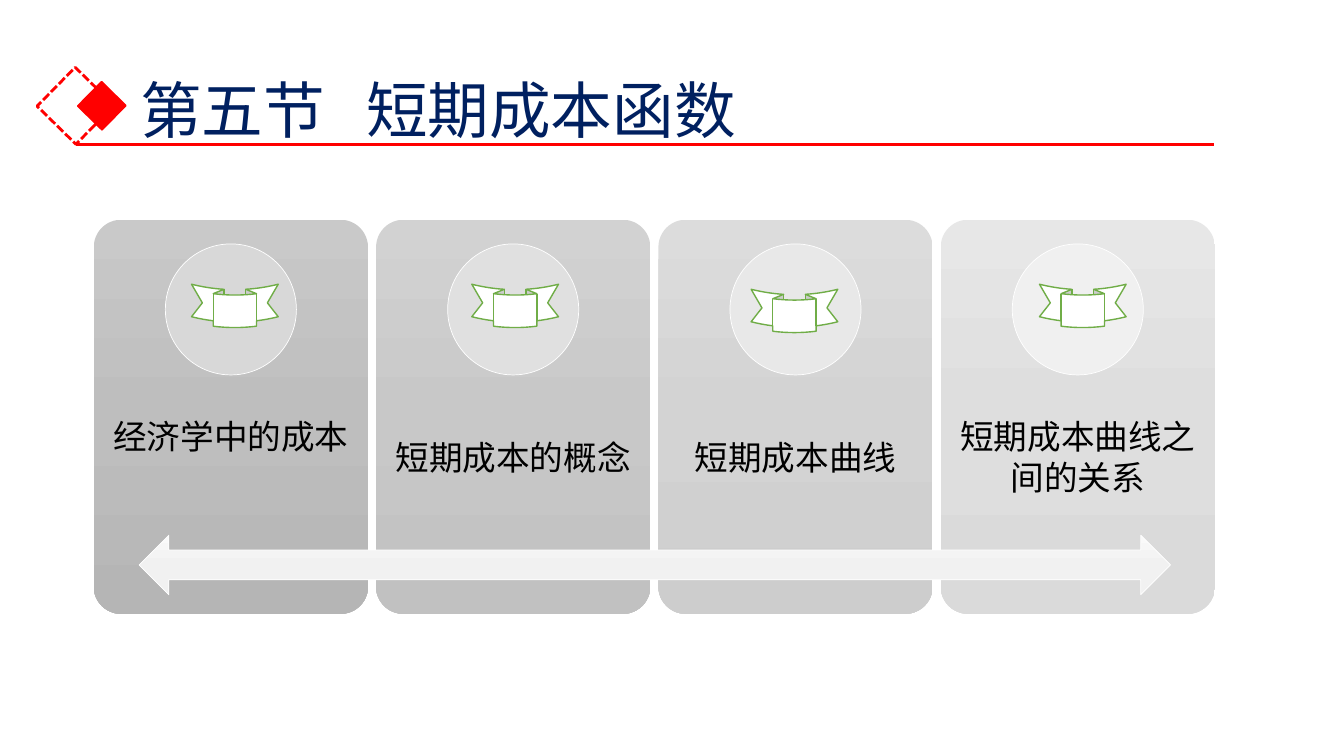
"""Build the section slide on short-run cost functions."""
from lxml import etree
from pptx import Presentation
from pptx.dml.color import RGBColor
from pptx.enum.dml import MSO_LINE
from pptx.enum.shapes import MSO_CONNECTOR, MSO_SHAPE
from pptx.enum.text import MSO_ANCHOR, PP_ALIGN
from pptx.oxml.ns import qn
from pptx.util import Inches, Pt

CARD = MSO_SHAPE.ROUNDED_RECTANGLE
DISC = MSO_SHAPE.OVAL
RIBBON = MSO_SHAPE.CURVED_UP_RIBBON
RIBBON_DOWN = MSO_SHAPE.CURVED_DOWN_RIBBON
ARROW = MSO_SHAPE.LEFT_RIGHT_ARROW
RECT = MSO_SHAPE.RECTANGLE
DASH = MSO_LINE.SQUARE_DOT
STRAIGHT = MSO_CONNECTOR.STRAIGHT
MIDDLE = MSO_ANCHOR.MIDDLE
LEFT, CENTER = PP_ALIGN.LEFT, PP_ALIGN.CENTER
FONT = "Noto Sans CJK SC"
RED = "FF0000"
hue = RGBColor.from_string

deck = Presentation()
deck.slide_width, deck.slide_height = Inches(13.33), Inches(7.5)
slide = deck.slides.add_slide(deck.slide_layouts[5])
shapes = slide.shapes


def draw(kind, left, top, width, height, fill=(), line=None, weight=0.5):
    """Add a shape with no fill, one colour, or a downward gradient."""
    shape = shapes.add_shape(kind, Inches(left), Inches(top), Inches(width), Inches(height))
    shape.shadow.inherit = False
    if len(fill) > 1:
        shape.fill.gradient()
        shape.fill.gradient_angle = 270
        stops = shape._element.spPr.find(".//" + qn("a:gsLst"))
        for stop in list(stops):
            stops.remove(stop)
        for i, tone in enumerate(fill):
            stop = etree.SubElement(stops, qn("a:gs"), pos=str(i * 50000))
            etree.SubElement(stop, qn("a:srgbClr"), val=tone)
    elif fill:
        shape.fill.solid()
        shape.fill.fore_color.rgb = hue(fill[0])
    else:
        shape.fill.background()
    if line:
        shape.line.color.rgb = hue(line)
        shape.line.width = Pt(weight)
    else:
        shape.line.fill.background()
    return shape


def write(box, text, size=24, color="000000", align=CENTER, space=1.0, tab=None):
    """Put one formatted paragraph into a box."""
    frame = box.text_frame
    frame.word_wrap = True
    frame.vertical_anchor = MIDDLE
    para = frame.paragraphs[0]
    para.alignment = align
    para.line_spacing = space
    if tab:
        tabs = etree.SubElement(para._p.get_or_add_pPr(), qn("a:tabLst"))
        etree.SubElement(tabs, qn("a:tab"), pos=str(Inches(tab)), algn="l")
    run = para.add_run()
    run.text = text
    run.font.name = FONT
    run.font.size = Pt(size)
    run.font.color.rgb = hue(color)
    etree.SubElement(run._r.get_or_add_rPr(), qn("a:ea"), typeface=FONT)
    return frame


title = shapes.title
title.left, title.top = Inches(1.29), Inches(0.4)
title.width, title.height = Inches(11.13), Inches(1.45)
write(title, "第五节\t短期成本函数", size=44, color="002060", align=LEFT, space=0.9, tab=2.24)

cards = [
    ("经济学中的成本", ("C9C9C9", "BEBEBE", "B5B5B5"), "D8D8D8", 0.59),
    ("短期成本的概念", ("D2D2D2", "C8C8C8", "C1C1C1"), "E0E0E0", 0.19),
    ("短期成本曲线", ("DCDCDC", "D3D3D3", "CDCDCD"), "E8E8E8", 0.19),
    ("短期成本曲线之间的关系", ("E7E7E7", "DEDEDE", "DADADA"), "F0F0F0", 0.19),
]
for i, (text, tones, tint, foot) in enumerate(cards):
    left = 0.93 + 2.8 * i
    card = draw(CARD, left, 2.18, 2.72, 3.91, tones)
    card.adjustments[0] = 0.1
    label = shapes.add_textbox(Inches(left), Inches(3.75), Inches(2.72), Inches(1.56))
    frame = write(label, text)
    frame.margin_left = frame.margin_right = frame.margin_top = Inches(0.19)
    frame.margin_bottom = Inches(foot)
    draw(DISC, left + 0.71, 2.42, 1.3, 1.3, [tint], "FFFFFF")

draw(ARROW, 1.38, 5.31, 10.23, 0.59, ("FAFAFA", "F1F1F1", "F0F0F0"), "FFFFFF")

frame = draw(RECT, 0.48, 0.78, 0.54, 0.54, line=RED, weight=2)
frame.line.dash_style = DASH
gem = draw(RECT, 0.84, 0.88, 0.34, 0.34, [RED], RED, 1)
frame.rotation = gem.rotation = 314.5

rule = shapes.add_connector(STRAIGHT, Inches(0.75), Inches(1.43), Inches(12.04), Inches(1.43))
rule.line.color.rgb = hue(RED)
rule.line.width = Pt(2.25)
etree.SubElement(rule._element.spPr, qn("a:effectLst"))

for left, top in ((1.9, 2.82), (4.68, 2.82), (7.45, 2.87), (10.31, 2.82)):
    draw(RIBBON_DOWN, left, top, 0.86, 0.43, ["FFFFFF"], "70AD47", 1)

deck.save("out.pptx")
